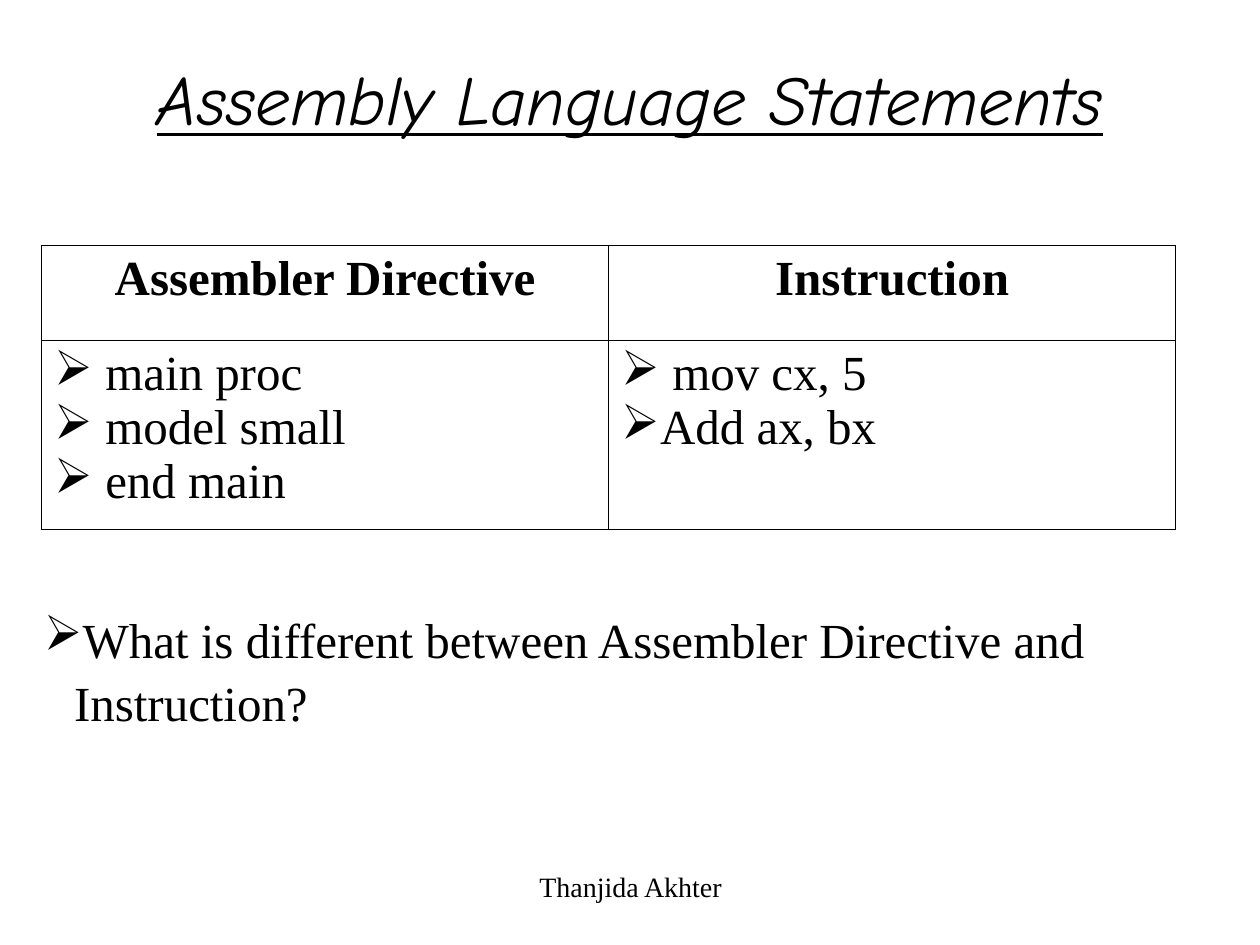
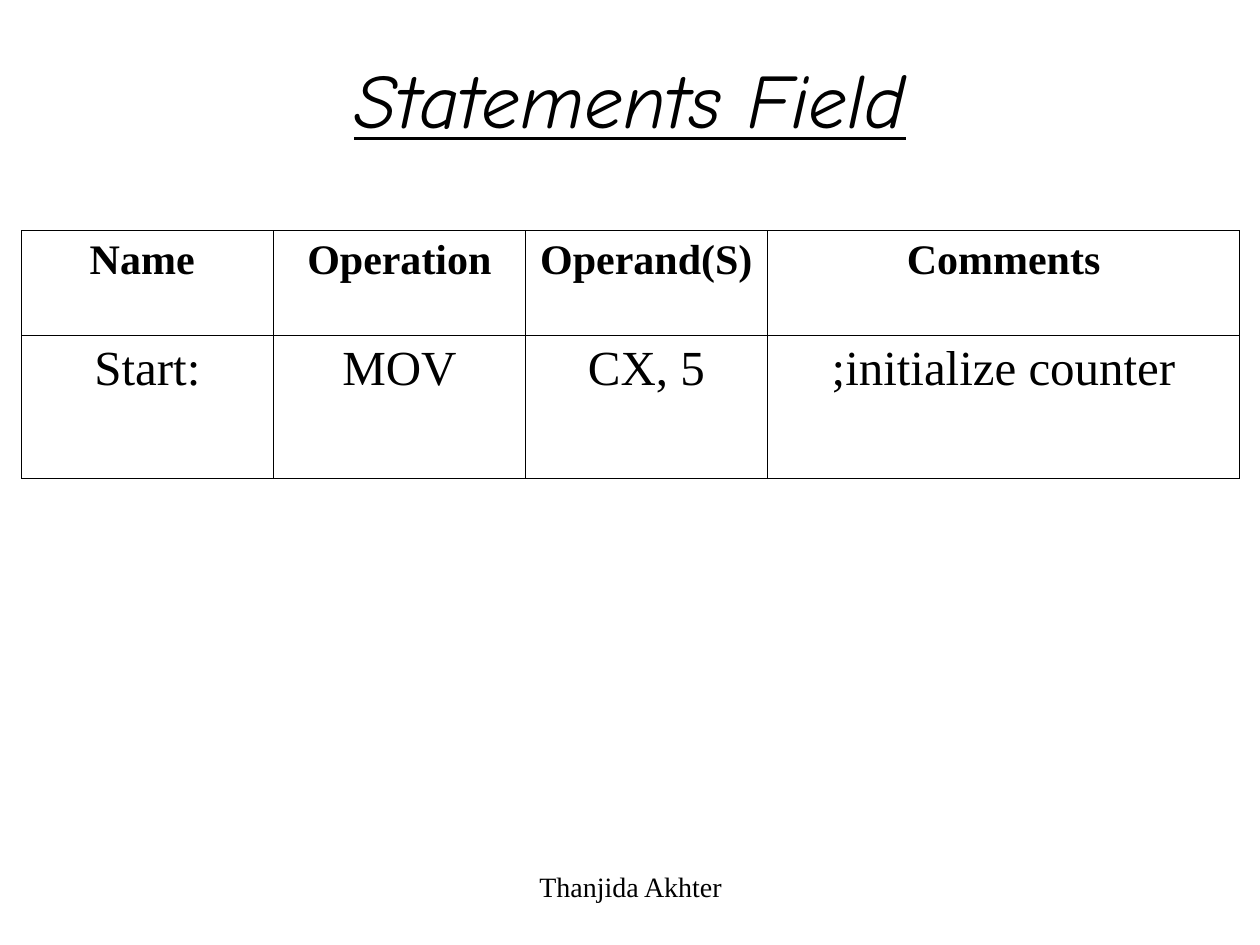
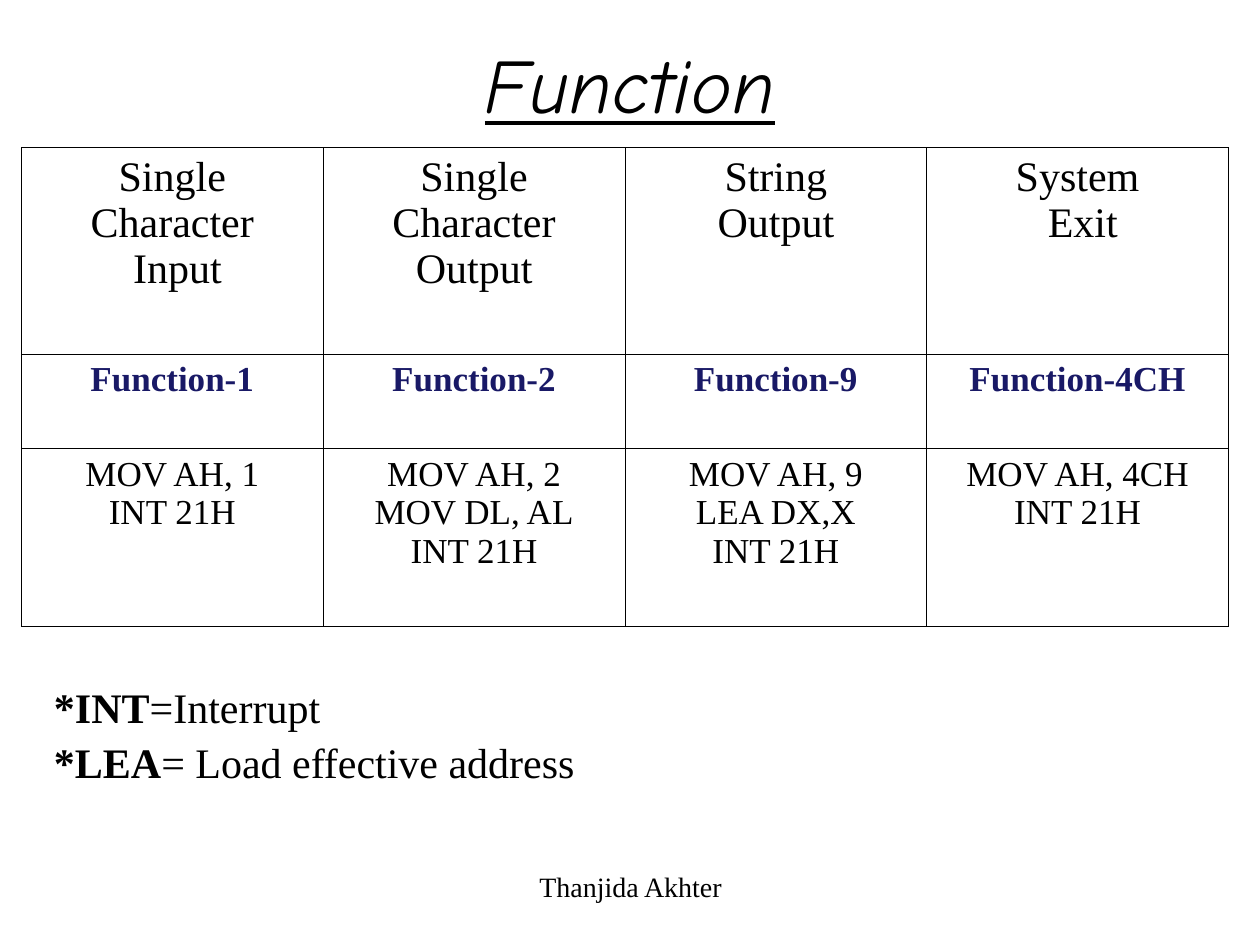
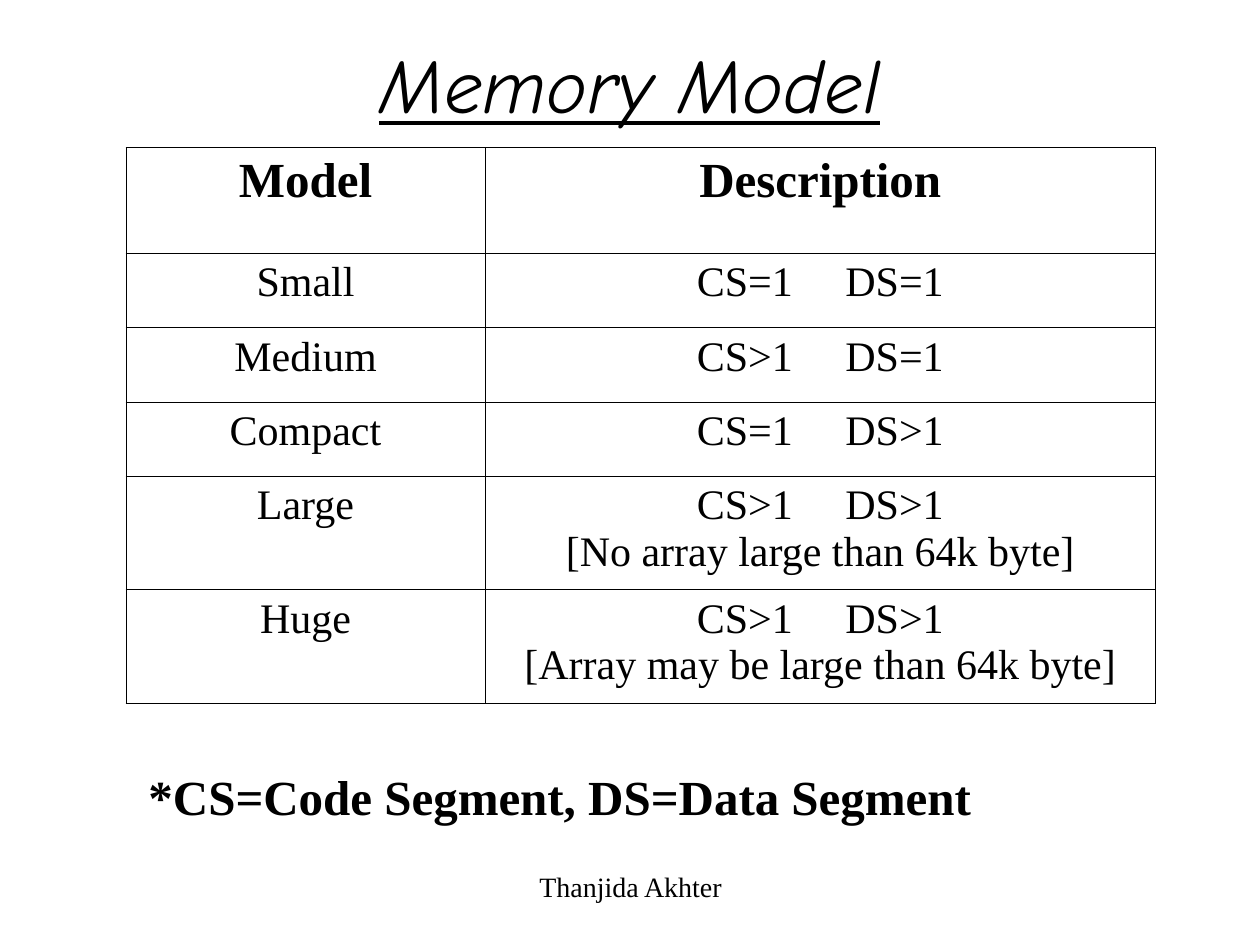
from pptx import Presentation
from pptx.dml.color import RGBColor
from pptx.enum.text import MSO_ANCHOR, PP_ALIGN
from pptx.oxml.ns import qn
from pptx.util import Inches, Pt
from lxml.etree import SubElement

COLORS = {"text": "000000", "accent": "191966", "border": "000000", "background": "FFFFFF"}
TITLE_FONT = "Comic Neue"
BODY_FONT = "Times New Roman"
BOX_SPACING = 1.08
BORDER_WIDTH = Pt(0.45)


class Deck:
    """Holds the shared style and the current slide."""

    def __init__(self):
        """Start an empty 10 by 7.5 inch presentation."""
        self.presentation = Presentation()
        self.presentation.slide_width = Inches(10)
        self.presentation.slide_height = Inches(7.5)
        self.slide = None

    def new_slide(self, title, title_box, size=44):
        """Add a blank slide with its title and footer."""
        self.slide = self.presentation.slides.add_slide(self.presentation.slide_layouts[6])
        background = self.slide.background.fill
        background.solid()
        background.fore_color.rgb = RGBColor.from_string(COLORS["background"])
        self.text_box(title_box, [title], anchor=MSO_ANCHOR.MIDDLE, centered=True,
                      size=size, font=TITLE_FONT, italic=True, underline=True)
        self.text_box((3.42, 6.83, 3.17, 0.5), ["Thanjida Akhter"], centered=True, size=16)

    def add_run(self, paragraph, text, size=24, font=BODY_FONT, color="text",
                bold=False, italic=False, underline=False, tracking=0):
        """Add one styled run; tracking is extra letter spacing in points."""
        run = paragraph.add_run()
        run.text = text
        run.font.size = Pt(size)
        run.font.name = font
        run.font.bold = bold
        run.font.italic = italic
        run.font.underline = underline
        run.font.color.rgb = RGBColor.from_string(COLORS[color])
        if tracking:
            run.font._element.set("spc", str(tracking * 100))

    def add_bullet(self, paragraph, indent):
        """Give a paragraph an arrow bullet with a hanging indent in inches."""
        properties = paragraph._p.get_or_add_pPr()
        properties.set("marL", str(Inches(indent)))
        properties.set("indent", str(-Inches(indent)))
        color = SubElement(properties, qn("a:buClr"))
        SubElement(color, qn("a:srgbClr"), val=COLORS["text"])
        SubElement(properties, qn("a:buChar"), char="\u27a2")

    def fill_text(self, frame, lines, centered=False, bullet_indent=None, spacing=1.0, **style):
        """Write lines; each is a string or a list of (text, overrides) runs."""
        for index, line in enumerate(lines):
            paragraph = frame.add_paragraph() if index else frame.paragraphs[0]
            paragraph.alignment = PP_ALIGN.CENTER if centered else PP_ALIGN.LEFT
            paragraph.line_spacing = spacing
            if bullet_indent is not None:
                self.add_bullet(paragraph, bullet_indent)
            runs = [(line, {})] if isinstance(line, str) else line
            for text, overrides in runs:
                self.add_run(paragraph, text, **{**style, **overrides})

    def text_box(self, box, lines, anchor=MSO_ANCHOR.TOP, **style):
        """Add a wrapping text box at (left, top, width, height)."""
        shape = self.slide.shapes.add_textbox(*map(Inches, box))
        frame = shape.text_frame
        frame.word_wrap = True
        frame.vertical_anchor = anchor
        self.fill_text(frame, lines, spacing=BOX_SPACING, **style)

    def table(self, left, top, widths, heights, rows, styles):
        """Add a ruled table; styles holds one text style per row."""
        shape = self.slide.shapes.add_table(
            len(heights), len(widths), Inches(left), Inches(top),
            Inches(sum(widths)), Inches(sum(heights)))
        table = shape.table
        table.first_row = table.horz_banding = False
        for column, width in zip(table.columns, widths):
            column.width = Inches(width)
        for row, height, contents, style in zip(table.rows, heights, rows, styles):
            row.height = Inches(height)
            for cell, lines in zip(row.cells, contents):
                self.rule_cell(cell)
                cell.fill.background()
                self.fill_text(cell.text_frame, lines, **style)

    def rule_cell(self, cell):
        """Draw a thin line on all four sides of a cell."""
        properties = cell._tc.get_or_add_tcPr()
        for side in ("lnL", "lnR", "lnT", "lnB"):
            line = SubElement(properties, qn(f"a:{side}"), w=str(BORDER_WIDTH))
            fill = SubElement(line, qn("a:solidFill"))
            SubElement(fill, qn("a:srgbClr"), val=COLORS["border"])


def centered(size, **extra):
    """Return a centred text style."""
    return {"centered": True, "size": size, **extra}


def segments(code, data):
    """Return a line with the code and data segment counts set apart."""
    return [(f"CS{code}", {}), (" ", {"tracking": 24}), (f"DS{data}", {})]


def statements_slide(deck):
    """Compare directives with instructions."""
    deck.new_slide("Assembly Language Statements", (0, 0, 10, 1.5), size=40)
    deck.table(0.33, 1.95, [4.5] * 2, [0.75, 1.5], [
        [["Assembler Directive"], ["Instruction"]],
        [[" main proc", " model small", " end main"], [" mov cx, 5", "Add ax, bx"]],
    ], [centered(28, bold=True), {"size": 28, "bullet_indent": 0}])
    deck.text_box((0.25, 4.75, 9.33, 1.04),
                  ["What is different between Assembler Directive and Instruction?"],
                  size=28, bullet_indent=0.24)


def fields_slide(deck):
    """Show the four fields of a statement."""
    deck.new_slide("Statements Field", (0, 0, 10, 1.5))
    deck.table(0.17, 1.83, [2, 2, 1.92, 3.75], [0.83, 1.14], [
        [["Name "], ["Operation"], ["Operand(S)"], ["Comments"]],
        [["Start:"], ["MOV"], ["CX, 5"], [";initialize counter"]],
    ], [centered(24, bold=True), centered(28)])


def functions_slide(deck):
    """List the interrupt functions and their code."""
    deck.new_slide("Function", (0.75, 0, 8.5, 1.25))
    interrupt = "INT 21H"
    deck.table(0.17, 1.17, [9.58 / 4] * 4, [1.64, 0.75, 1.41], [
        [["Single Character", " Input"], ["Single Character Output"],
         ["String", "Output"], ["System", " Exit"]],
        [[f"Function-{number}"] for number in ("1", "2", "9", "4CH")],
        [["MOV AH, 1", interrupt], ["MOV AH, 2", "MOV DL, AL", interrupt],
         ["MOV AH, 9", "LEA DX,X", interrupt], ["MOV AH, 4CH", interrupt]],
    ], [centered(24), centered(20, bold=True, color="accent"), centered(20)])
    deck.text_box((0.33, 5.33, 5.17, 0.9), [
        [("*INT", {"bold": True}), ("=Interrupt", {})],
        [("*LEA", {"bold": True}), ("= Load effective address", {})],
    ], size=24)


def memory_slide(deck):
    """Describe the memory models."""
    deck.new_slide("Memory Model", (0.75, 0, 8.5, 1.25))
    deck.table(1, 1.17, [2.85, 5.32], [0.84] + [0.59] * 3 + [0.9] * 2, [
        [["Model"], ["Description"]],
        [["Small"], [segments("=1", "=1")]],
        [["Medium"], [segments(">1", "=1")]],
        [["Compact"], [segments("=1", ">1")]],
        [["Large"], [segments(">1", ">1"), "[No array large than 64k byte]"]],
        [["Huge"], [segments(">1", ">1"), "[Array may be large than 64k byte]"]],
    ], [centered(28, bold=True)] + [centered(24)] * 5)
    deck.text_box((1.08, 6, 6.75, 0.57), ["*CS=Code Segment, DS=Data Segment"],
                  size=28, bold=True)


deck = Deck()
for build_slide in (statements_slide, fields_slide, functions_slide, memory_slide):
    build_slide(deck)
deck.presentation.save("out.pptx")
